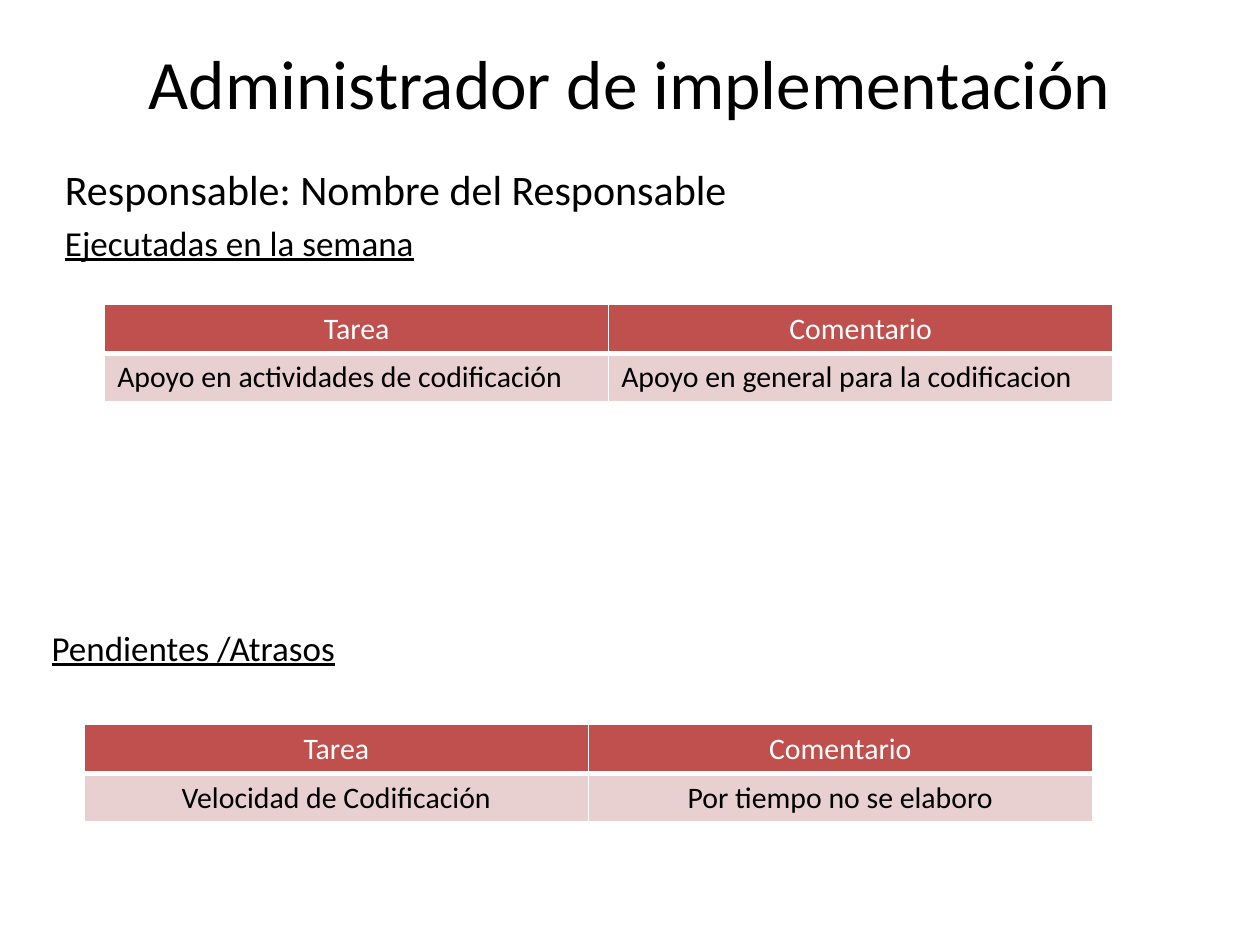
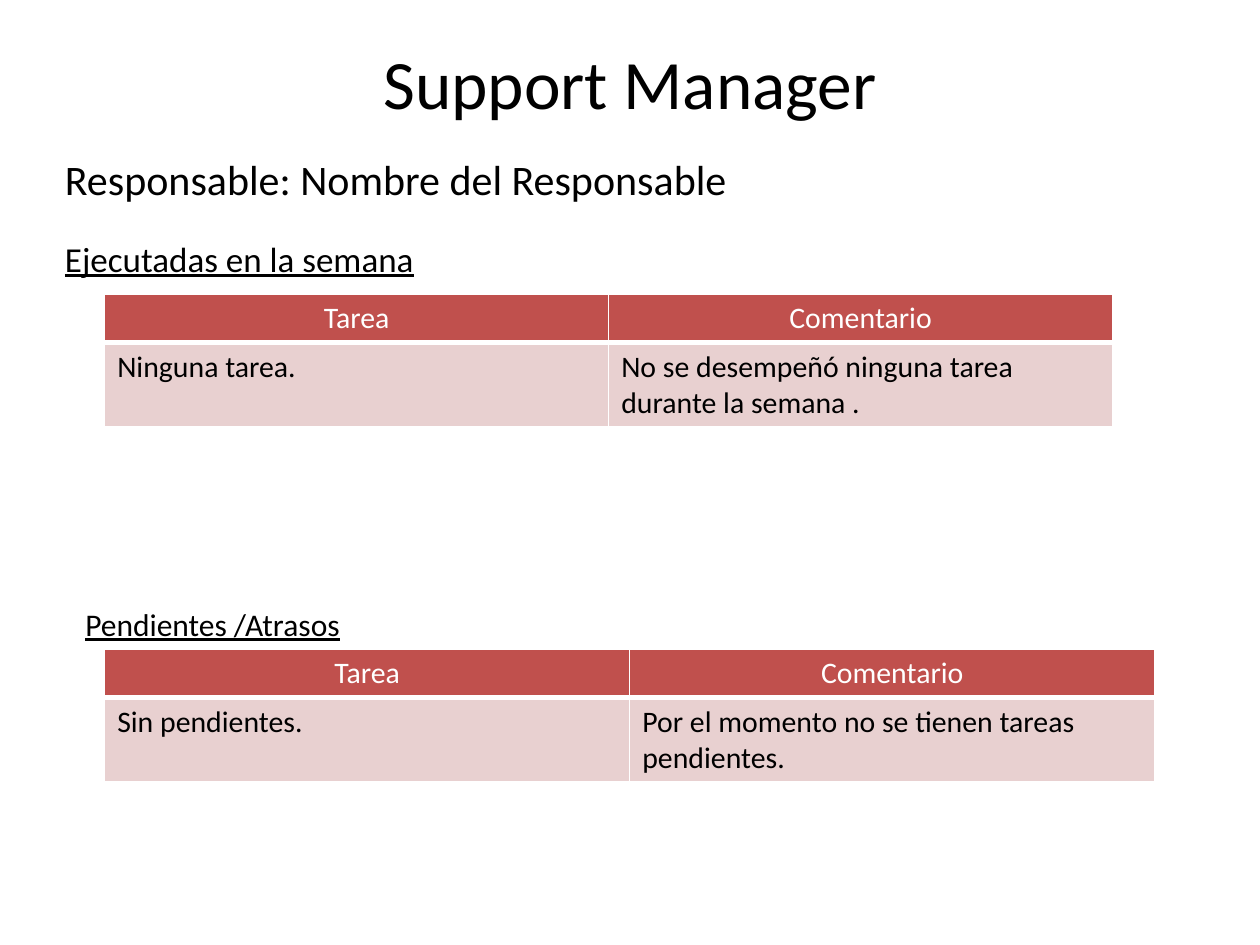
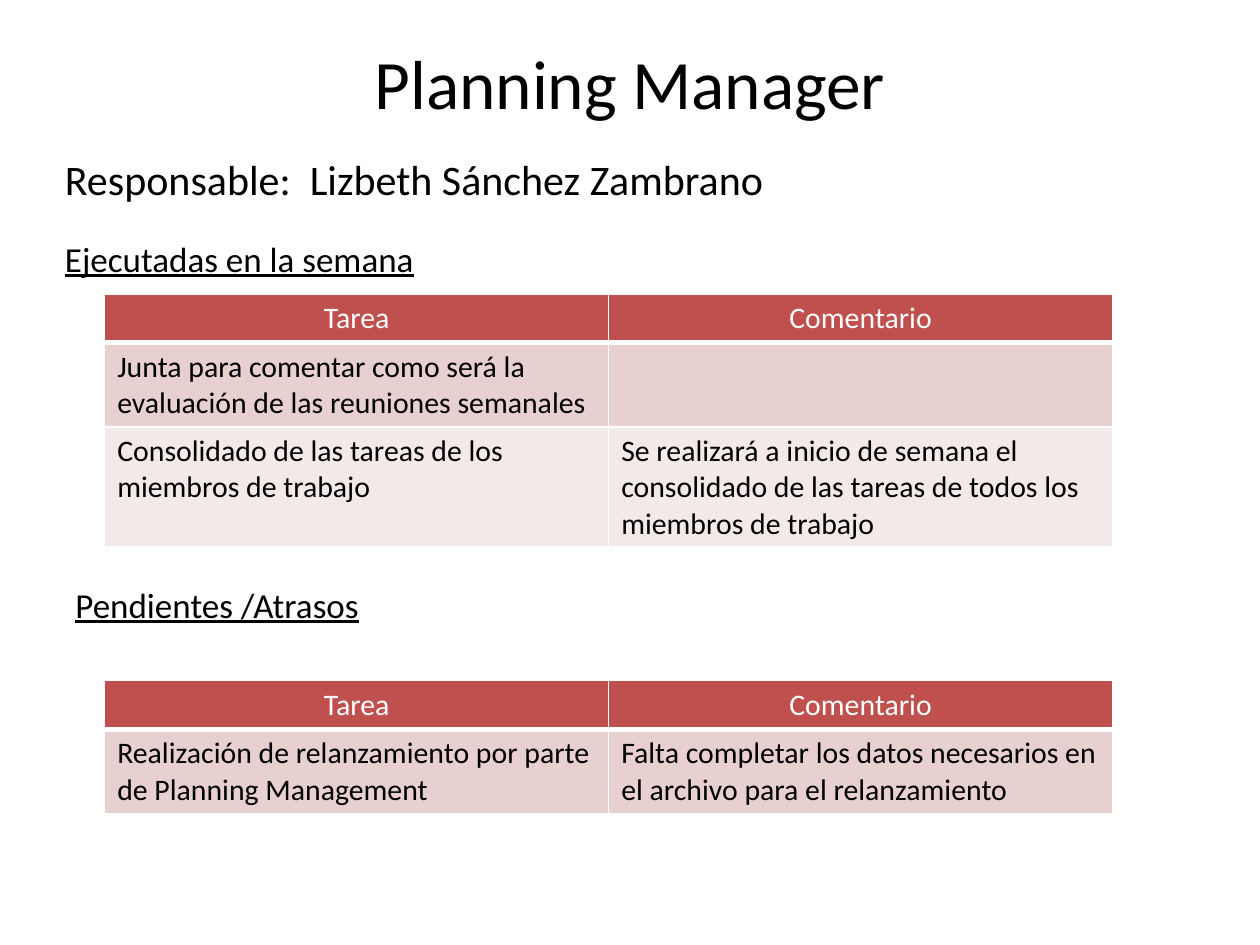
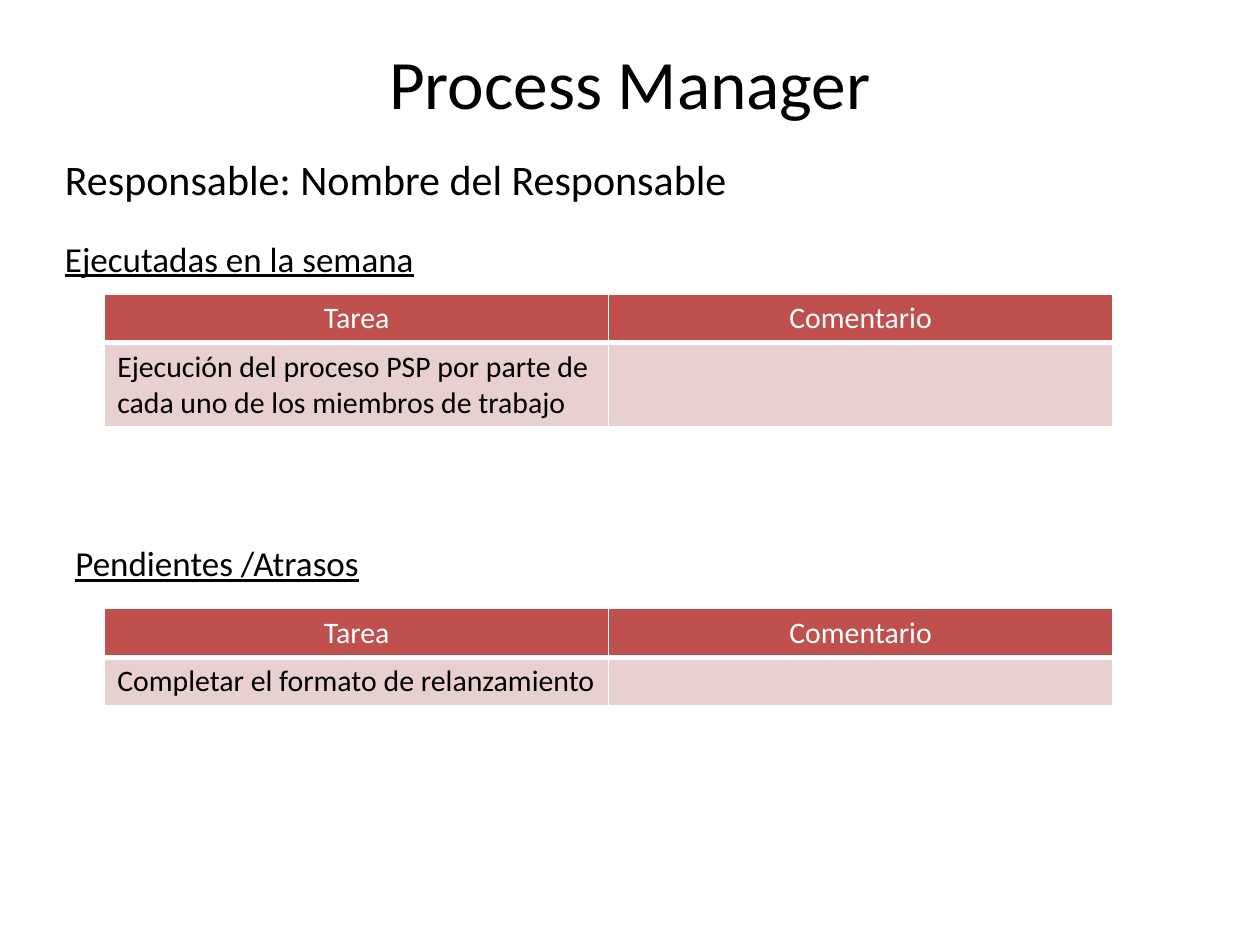
from lxml import etree
from pptx import Presentation
from pptx.dml.color import RGBColor
from pptx.enum.text import MSO_ANCHOR, PP_ALIGN
from pptx.oxml.ns import qn
from pptx.util import Cm, Pt

MID = MSO_ANCHOR.MIDDLE
LEFT, CENTER = PP_ALIGN.LEFT, PP_ALIGN.CENTER
FONT = "Calibri"
INK = {"text": "000000", "white": "FFFFFF", "head": "C0504D",
       "odd": "E8D0D0", "even": "F4E9E9"}
CELL = 17
ROW = 0.98
TITLE = (1.27, 0.76, 22.86, 1.78)
HEADS = ("Tarea", "Comentario")
OWNER = "Responsable: Nombre del Responsable"


def tint(name):
    """Return the named colour."""
    return RGBColor.from_string(INK[name])


def style(par, size, color="text", align=LEFT, line=False):
    """Format a paragraph and its runs."""
    par.alignment = align
    for run in par.runs:
        font = run.font
        font.name, font.size, font.bold = FONT, Pt(size), False
        font.color.rgb = tint(color)
        if line:
            font.underline = True


def label(slide, box, text, wrap=True):
    """Add a text box and return its frame."""
    frame = slide.shapes.add_textbox(*map(Cm, box)).text_frame
    frame.word_wrap = wrap
    frame.text = text
    return frame


def hang(par, gap):
    """Give a paragraph a hanging indent and space before."""
    par.space_before = Pt(gap)
    props = par._p.get_or_add_pPr()
    props.set("marL", str(Cm(0.95)))
    props.set("indent", str(-Cm(0.95)))


def title(slide, text):
    """Add the centred slide title."""
    frame = label(slide, TITLE, text)
    frame.vertical_anchor = MID
    style(frame.paragraphs[0], 39.6, align=CENTER)


def intro(slide, box, owner, gap):
    """Add the owner line and the first heading."""
    frame = label(slide, box, owner + "\nEjecutadas en la semana")
    first, second = frame.paragraphs
    style(first, 24)
    hang(first, 4.8)
    style(second, 20, line=True)
    hang(second, gap)


def late(slide, box, size=20, wrap=True):
    """Add the heading of the pending tasks."""
    par = label(slide, box, "Pendientes /Atrasos", wrap).paragraphs[0]
    style(par, size, line=True)
    if wrap:
        hang(par, 4)


def edge(cell, base):
    """Draw white borders, with the given width below."""
    props = cell._tc.get_or_add_tcPr()
    for side, width in (("L", 1), ("R", 1), ("T", 1), ("B", base)):
        rule = etree.SubElement(props, qn("a:ln" + side), w=str(Pt(width)))
        fill = etree.SubElement(rule, qn("a:solidFill"))
        etree.SubElement(fill, qn("a:srgbClr"), val=INK["white"])


def paint(cell, text, row, align):
    """Fill one table cell according to its row."""
    head = row == 0
    edge(cell, 3 if head else 1)
    cell.fill.solid()
    cell.fill.fore_color.rgb = tint(
        "head" if head else "odd" if row % 2 else "even")
    cell.text = text
    par = cell.text_frame.paragraphs[0]
    style(par, CELL, "white" if head else "text", CENTER if head else align)
    if not text:
        etree.SubElement(par._p, qn("a:endParaRPr"), sz=str(CELL * 100))


def grid(slide, left, top, rows, width=20.32, align=LEFT):
    """Add a task table with two equal columns."""
    data = [HEADS, *rows]
    box = (left, top, width, ROW * len(data))
    table = slide.shapes.add_table(len(data), 2, *map(Cm, box)).table
    table.horz_banding = False
    for r, texts in enumerate(data):
        for c, text in enumerate(texts):
            paint(table.cell(r, c), text, r, align)


def report(deck, name, done, owner=OWNER, top=2.97, gap=19):
    """Add a slide with title, owner and finished tasks."""
    slide = deck.slides.add_slide(deck.slide_layouts[6])
    title(slide, name)
    intro(slide, (1.06, top, 23.7, 3.18), owner, gap)
    grid(slide, 2.11, top + 2.96, done)
    return slide


def main():
    """Build and save the deck."""
    deck = Presentation()
    deck.slide_width, deck.slide_height = Cm(25.4), Cm(19.05)

    slide = report(deck, "Administrador de implementación",
                   [("Apoyo en actividades de codificación",
                     "Apoyo en general para la codificacion")],
                   top=3.18, gap=4)
    late(slide, (0.79, 12.5, 23.7, 1.47))
    grid(slide, 1.7, 14.61,
         [("Velocidad de Codificación", "Por tiempo no se elaboro")],
         align=CENTER)

    slide = report(deck, "Support Manager",
                   [("Ninguna tarea.",
                     "No se desempeñó ninguna tarea durante la semana .")])
    late(slide, (1.47, 12.07, 5.69, 1.02), 18, False)
    grid(slide, 2.11, 13.08,
         [("Sin pendientes.",
           "Por el momento no se tienen tareas pendientes.")], 21.17)

    slide = report(deck, "Planning Manager",
                   [("Junta para comentar como será la evaluación de las "
                     "reuniones semanales", ""),
                    ("Consolidado de las tareas de los miembros de trabajo",
                     "Se realizará a inicio de semana el consolidado de las "
                     "tareas de todos los miembros de trabajo")],
                   "Responsable:  Lizbeth Sánchez Zambrano")
    late(slide, (1.27, 11.63, 23.7, 1.47))
    grid(slide, 2.11, 13.72,
         [("Realización de relanzamiento por parte de Planning Management",
           "Falta completar los datos necesarios en el archivo para el "
           "relanzamiento")])

    slide = report(deck, "Process Manager",
                   [("Ejecución del proceso PSP por parte de cada uno de los "
                     "miembros de trabajo", "")])
    late(slide, (1.27, 10.8, 23.7, 1.47))
    grid(slide, 2.11, 12.27, [("Completar el formato de relanzamiento", "")])

    deck.save("out.pptx")


main()
